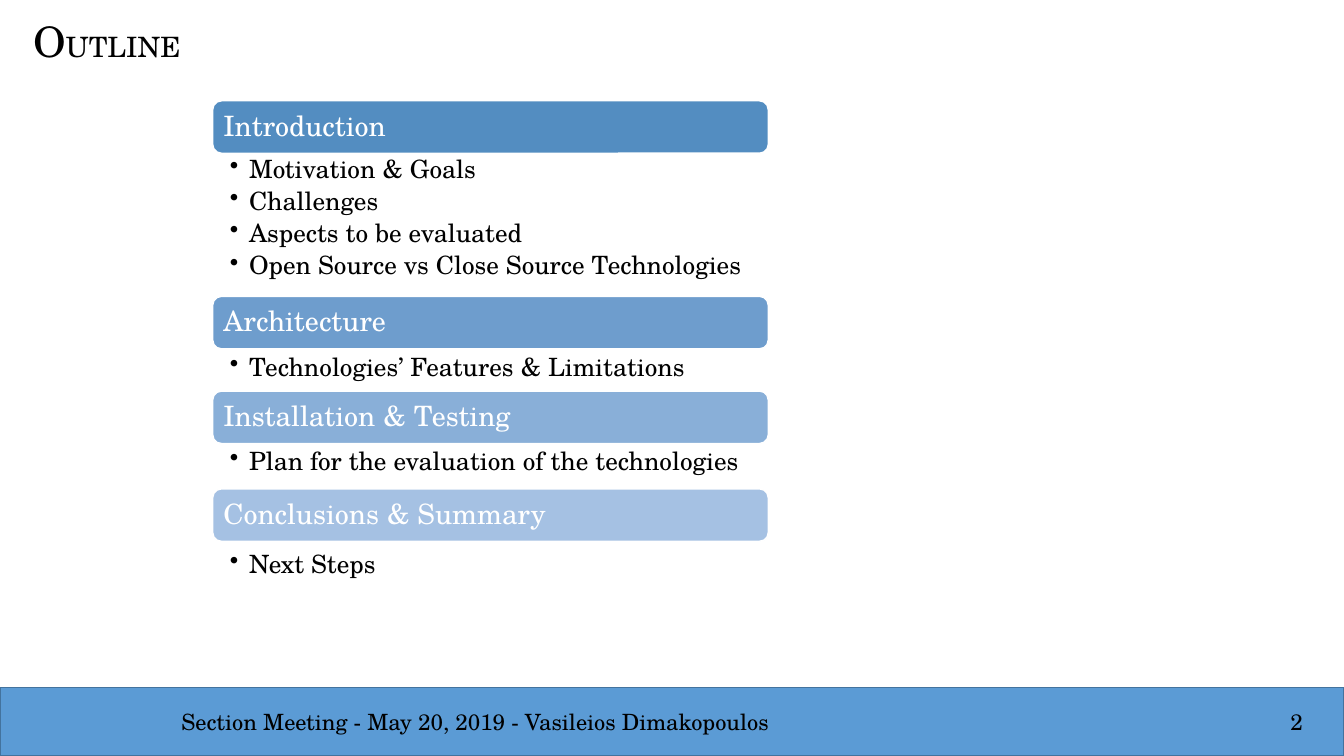
"""Build the outline slide of a section meeting talk."""
from lxml.etree import SubElement
from pptx import Presentation
from pptx.dml.color import RGBColor
from pptx.enum.shapes import MSO_SHAPE
from pptx.enum.text import MSO_ANCHOR, PP_ALIGN
from pptx.oxml.ns import qn
from pptx.util import Inches, Pt

FONT = "TeX Gyre Schola"
BLACK = RGBColor(0x00, 0x00, 0x00)
WHITE = RGBColor(0xFF, 0xFF, 0xFF)
FOOTER_BLUE = RGBColor(0x5B, 0x9B, 0xD5)
FOOTER_EDGE = RGBColor(0x43, 0x73, 0x9E)

SECTIONS = [
    (1, 1.52, RGBColor(0x53, 0x8D, 0xC1), "Introduction",
     ["Motivation & Goals", "Challenges", "Aspects to be evaluated",
      "Open Source vs Close Source Technologies"]),
    (2.94, 3.49, RGBColor(0x6E, 0x9D, 0xCD), "Architecture",
     ["Technologies’ Features & Limitations"]),
    (3.88, 4.42, RGBColor(0x89, 0xAF, 0xD8), "Installation & Testing",
     ["Plan for the evaluation of the technologies"]),
    (4.85, 5.44, RGBColor(0xA5, 0xC1, 0xE3), "Conclusions & Summary",
     ["Next Steps"]),
]
LIST_LEFT, LIST_WIDTH, HEADING_HEIGHT = Inches(2.11), Inches(5.51), Inches(0.52)
LINE_HEIGHT = 0.32


def add_panel(kind, left, top, width, height, fill, edge):
    """Add a filled and outlined shape without a shadow."""
    shape = slide.shapes.add_shape(kind, left, top, width, height)
    shape.shadow.inherit = False
    shape.fill.solid()
    shape.fill.fore_color.rgb = fill
    shape.line.color.rgb = edge
    shape.line.width = Pt(1)
    return shape


def add_text(paragraph, text, size, color):
    """Append a run in the slide font."""
    run = paragraph.add_run()
    run.text = text
    for name, value in {"name": FONT, "size": Pt(size)}.items():
        setattr(run.font, name, value)
    run.font.color.rgb = color


presentation = Presentation()
presentation.slide_width = Inches(13.33)
presentation.slide_height = Inches(7.5)
slide = presentation.slides.add_slide(presentation.slide_layouts[5])

title = slide.shapes.title
title_place = {"left": 0.23, "top": 0.27, "width": 8.28, "height": 0.44}
for name, value in title_place.items():
    setattr(title, name, Inches(value))
title.text_frame.vertical_anchor = MSO_ANCHOR.BOTTOM
title_paragraph = title.text_frame.paragraphs[0]
title_paragraph.alignment = PP_ALIGN.LEFT
title_paragraph.line_spacing = 0.9
for text, size in [("O", 30), ("UTLINE", 20)]:
    add_text(title_paragraph, text, size, BLACK)

add_panel(MSO_SHAPE.RECTANGLE, 0, Inches(6.82), presentation.slide_width,
          Inches(0.68), FOOTER_BLUE, FOOTER_EDGE)
footer = slide.shapes.add_textbox(Inches(1.7), Inches(6.98), Inches(11.38), Inches(0.37))
footer.text_frame.word_wrap = True
footer_paragraph = footer.text_frame.paragraphs[0]
tabs = SubElement(footer_paragraph._p.get_or_add_pPr(), qn("a:tabLst"))
SubElement(tabs, qn("a:tab"), pos=str(Inches(11)), algn="l")
add_text(footer_paragraph, "Section Meeting - May 20, 2019 - Vasileios Dimakopoulos\t2",
         16, BLACK)

for heading_top, list_top, color, heading, items in SECTIONS:
    panel = add_panel(MSO_SHAPE.ROUNDED_RECTANGLE, LIST_LEFT, Inches(heading_top),
                      LIST_WIDTH, HEADING_HEIGHT, color, WHITE)
    panel.text_frame.vertical_anchor = MSO_ANCHOR.MIDDLE
    panel.text_frame.margin_left = Inches(0.08)
    heading_paragraph = panel.text_frame.paragraphs[0]
    heading_paragraph.alignment = PP_ALIGN.LEFT
    heading_paragraph.line_spacing = 0.9
    add_text(heading_paragraph, heading, 20, WHITE)

    box = slide.shapes.add_textbox(LIST_LEFT, Inches(list_top), LIST_WIDTH,
                                   Inches(LINE_HEIGHT * len(items)))
    frame = box.text_frame
    frame.word_wrap = True
    margins = {"left": 0.17, "top": 0.03, "right": 0.14, "bottom": 0.03}
    for side, value in margins.items():
        setattr(frame, f"margin_{side}", Inches(value))
    for index, item in enumerate(items):
        paragraph = frame.add_paragraph() if index else frame.paragraphs[0]
        paragraph.level = 1
        paragraph.line_spacing = 0.9
        paragraph.space_after = Pt(3.6)
        properties = paragraph._p.get_or_add_pPr()
        properties.set("marL", str(Inches(0.19)))
        properties.set("indent", str(-Inches(0.19)))
        SubElement(properties, qn("a:buChar"), char="•")
        add_text(paragraph, item, 18, BLACK)

presentation.save("out.pptx")
